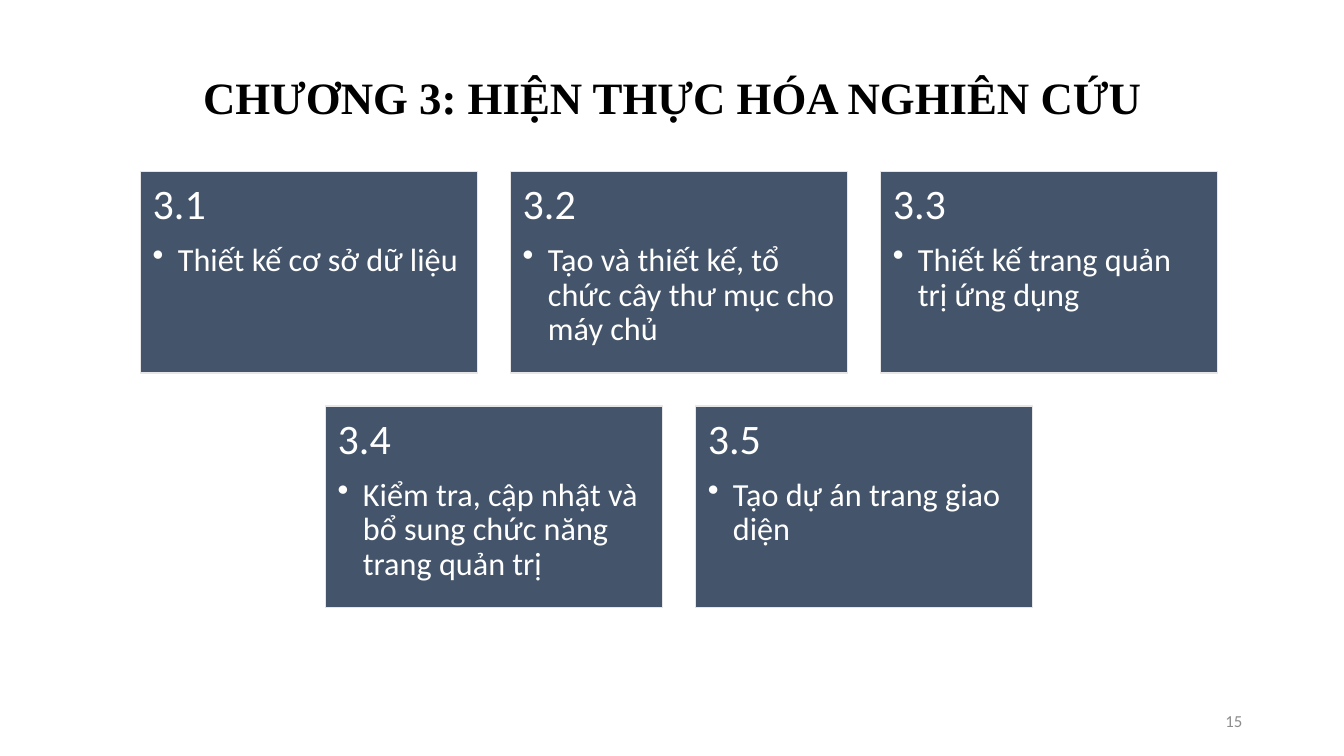
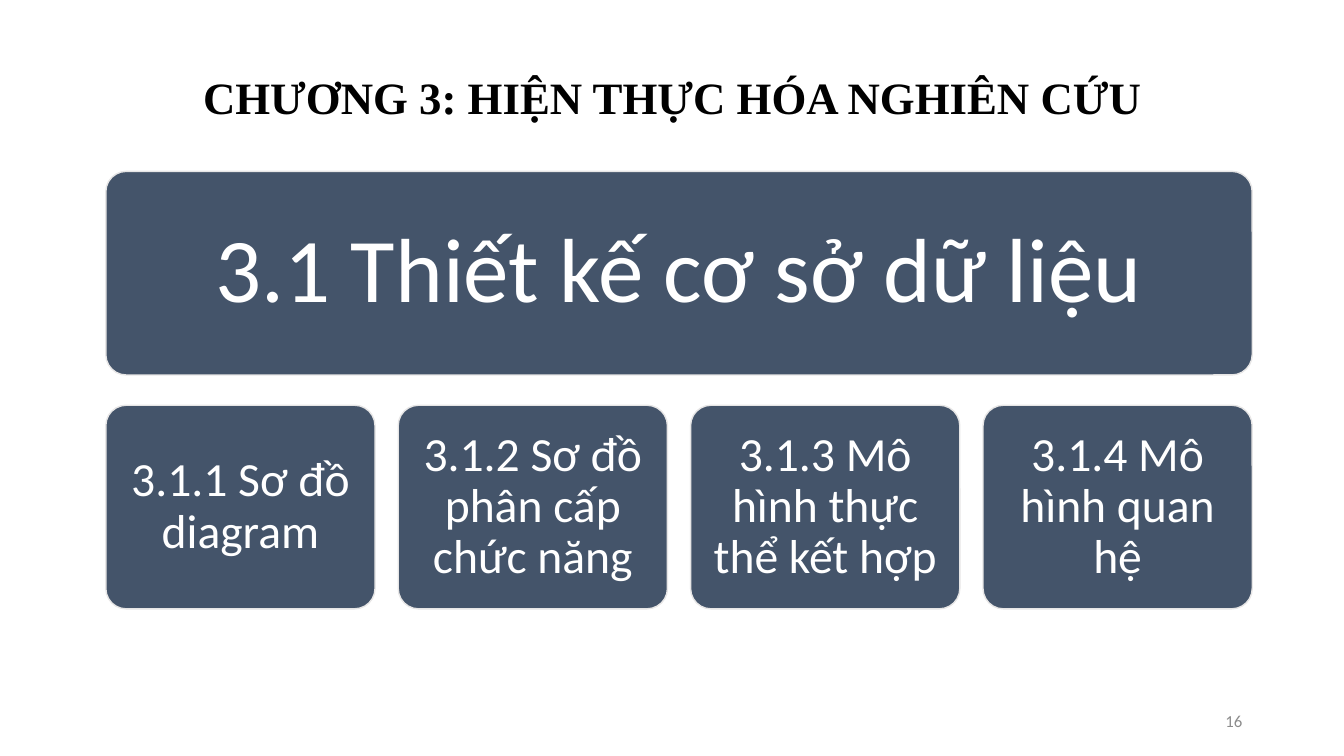
import pptx
import pptx.dml.color
import pptx.enum.shapes
import pptx.enum.text
import pptx.oxml.ns
import pptx.util
from lxml import etree

Inches, Pt = pptx.util.Inches, pptx.util.Pt
RGBColor = pptx.dml.color.RGBColor
Shape = pptx.enum.shapes.MSO_SHAPE
Align, Anchor = pptx.enum.text.PP_ALIGN, pptx.enum.text.MSO_ANCHOR

SLATE = RGBColor(0x44, 0x54, 0x6A)
PALE = RGBColor(0xE7, 0xE6, 0xE6)
GREY = RGBColor(0x8C, 0x8C, 0x8C)
WHITE = RGBColor(0xFF, 0xFF, 0xFF)
BLACK = RGBColor(0, 0, 0)

TITLE = "CHƯƠNG 3: HIỆN THỰC HÓA NGHIÊN CỨU"
SECTION_ROWS = [
    [
        ("3.1", "Thiết kế cơ sở dữ liệu"),
        ("3.2", "Tạo và thiết kế, tổ chức cây thư mục cho máy chủ"),
        ("3.3", "Thiết kế trang quản trị ứng dụng"),
    ],
    [
        ("3.4", "Kiểm tra, cập nhật và bổ sung chức năng trang quản trị"),
        ("3.5", "Tạo dự án trang giao diện"),
    ],
]
TOPIC = "3.1 Thiết kế cơ sở dữ liệu"
SUBTOPICS = [
    "3.1.1 Sơ đồ diagram",
    "3.1.2 Sơ đồ phân cấp chức năng",
    "3.1.3 Mô hình thực thể kết hợp",
    "3.1.4 Mô hình quan hệ",
]

DIAGRAM_LEFT, DIAGRAM_TOP, DIAGRAM_WIDTH = 1.05, 1.7, 11.37
CARD_WIDTH, CARD_HEIGHT, CARD_GAP = 3.34, 2, 0.33
PANEL_HEIGHT, PANEL_GAP, PANEL_ROW_GAP = 2.02, 0.23, 0.3


def write(para, text, size, color=WHITE, font="Calibri", bold=False,
          align=Align.LEFT, spacing=0.9, after=0, bullet=False):
    if bullet:
        properties = para._p.get_or_add_pPr()
        properties.set("marL", str(Inches(0.25)))
        properties.set("indent", str(Inches(-0.25)))
        mark = etree.SubElement(properties, pptx.oxml.ns.qn("a:buChar"))
        mark.set("char", "•")
    para.alignment = align
    para.line_spacing = spacing
    para.space_after = Pt(after)
    span = para.add_run()
    span.text = text
    span.font.size = Pt(size)
    span.font.name = font
    span.font.bold = bold
    span.font.color.rgb = color


def add_label(page, text, left, top, width, height, anchor, **style):
    box = page.shapes.add_textbox(
        Inches(left), Inches(top), Inches(width), Inches(height))
    box.text_frame.word_wrap = True
    box.text_frame.vertical_anchor = anchor
    write(box.text_frame.paragraphs[0], text, **style)


def add_block(page, kind, left, top, width, height, inset, anchor):
    """Draw a filled, outlined block and return its text frame."""
    block = page.shapes.add_shape(
        kind, Inches(left), Inches(top), Inches(width), Inches(height))
    block.shadow.inherit = False
    block.fill.solid()
    block.fill.fore_color.rgb = SLATE
    block.line.color.rgb = PALE
    block.line.width = Pt(1)
    if kind == Shape.ROUNDED_RECTANGLE:
        block.adjustments[0] = 0.1
    frame = block.text_frame
    frame.word_wrap = True
    frame.vertical_anchor = anchor
    frame.margin_left = frame.margin_right = Inches(inset)
    frame.margin_top = frame.margin_bottom = Inches(inset)
    return frame


def add_card(page, number, text, left, top):
    frame = add_block(page, Shape.RECTANGLE, left, top,
                      CARD_WIDTH, CARD_HEIGHT, 0.12, Anchor.TOP)
    write(frame.paragraphs[0], number, size=30, after=10.5)
    write(frame.add_paragraph(), text, size=23, bullet=True)


def add_panel(page, text, left, top, width, inset, size):
    frame = add_block(page, Shape.ROUNDED_RECTANGLE, left, top,
                      width, PANEL_HEIGHT, inset, Anchor.MIDDLE)
    write(frame.paragraphs[0], text, size=size, align=Align.CENTER)


def add_page(deck, number):
    """Add a blank page with the shared title and page number."""
    page = deck.slides.add_slide(deck.slide_layouts[6])
    add_label(page, TITLE, 1.67, 0.76, 10, 0.52, Anchor.BOTTOM, size=32,
              color=BLACK, font="Times New Roman", bold=True,
              align=Align.CENTER)
    add_label(page, str(number), 9.42, 6.95, 3, 0.4, Anchor.MIDDLE, size=12,
              color=GREY, align=Align.RIGHT, spacing=1.0)
    return page


def build_sections(deck):
    page = add_page(deck, 15)
    for row, sections in enumerate(SECTION_ROWS):
        row_width = len(sections) * (CARD_WIDTH + CARD_GAP) - CARD_GAP
        row_left = DIAGRAM_LEFT + (DIAGRAM_WIDTH - row_width) / 2
        top = DIAGRAM_TOP + row * (CARD_HEIGHT + CARD_GAP)
        for column, (number, text) in enumerate(sections):
            left = row_left + column * (CARD_WIDTH + CARD_GAP)
            add_card(page, number, text, left, top)


def build_database_topic(deck):
    page = add_page(deck, 16)
    add_panel(page, TOPIC, DIAGRAM_LEFT, DIAGRAM_TOP, DIAGRAM_WIDTH,
              inset=0.27, size=65)
    pitch = (DIAGRAM_WIDTH + PANEL_GAP) / len(SUBTOPICS)
    top = DIAGRAM_TOP + PANEL_HEIGHT + PANEL_ROW_GAP
    for column, text in enumerate(SUBTOPICS):
        add_panel(page, text, DIAGRAM_LEFT + column * pitch, top,
                  pitch - PANEL_GAP, inset=0.14, size=34)


def main():
    deck = pptx.Presentation()
    deck.slide_width, deck.slide_height = Inches(13.33), Inches(7.5)
    build_sections(deck)
    build_database_topic(deck)
    deck.save("out.pptx")


if __name__ == "__main__":
    main()
